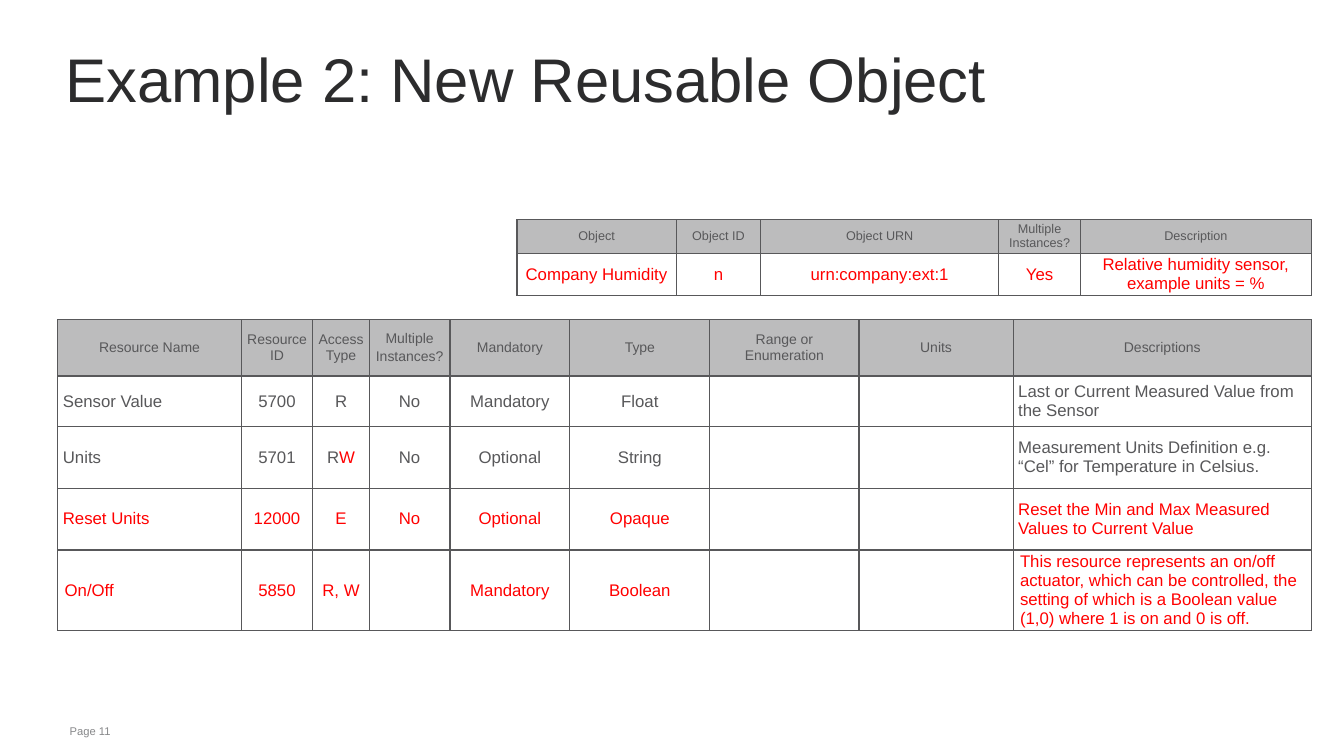
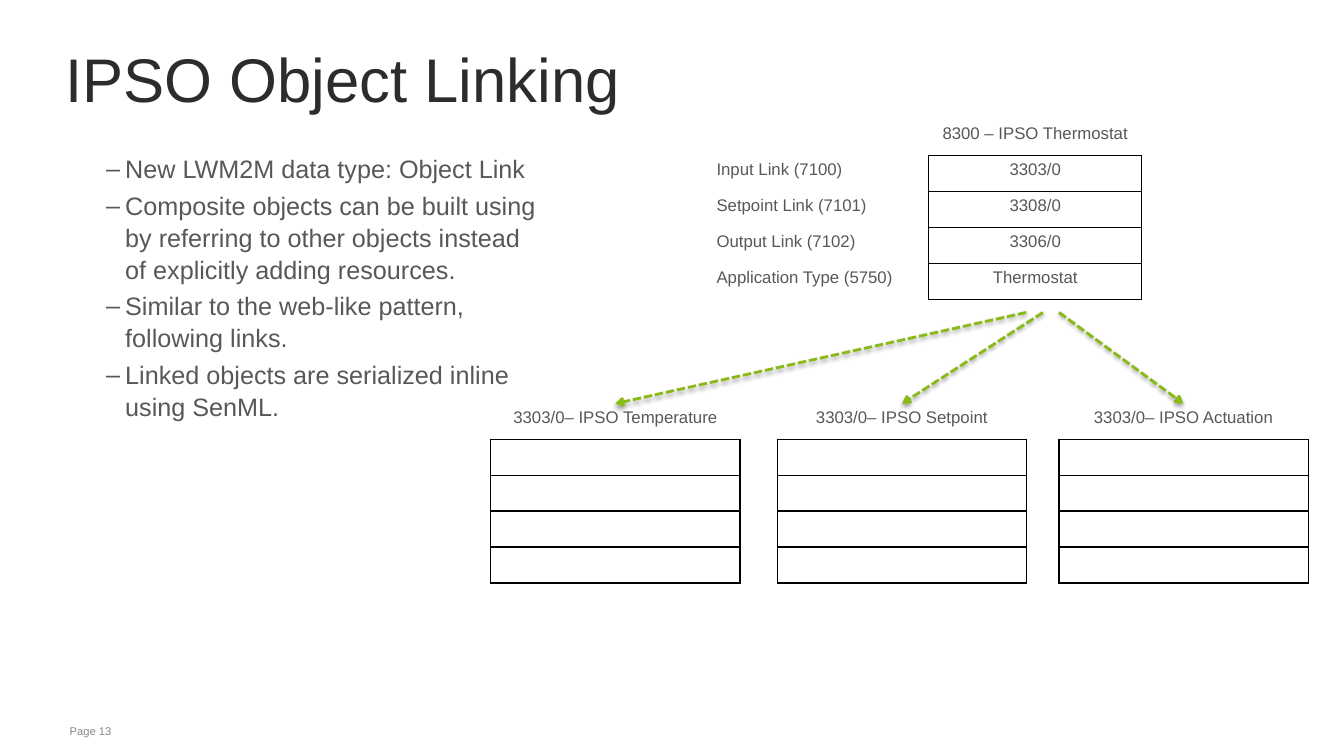
from dataclasses import dataclass
from typing import NamedTuple

from lxml import etree
from pptx import Presentation
from pptx.dml.color import RGBColor
from pptx.enum.dml import MSO_LINE
from pptx.enum.shapes import MSO_CONNECTOR
from pptx.enum.text import MSO_ANCHOR, PP_ALIGN
from pptx.oxml.ns import qn
from pptx.util import Pt

LEFT, CENTER = PP_ALIGN.LEFT, PP_ALIGN.CENTER
TOP, MIDDLE = MSO_ANCHOR.TOP, MSO_ANCHOR.MIDDLE
STRAIGHT = MSO_CONNECTOR.STRAIGHT
SHORT_DASH = MSO_LINE.SQUARE_DOT
TITLE_ONLY = 5
NO_TABLE_STYLE = "{2D5ABB26-0587-4C30-8999-92F81FD0307C}"
ALL_SIDES = "LRTB"


@dataclass(frozen=True)
class Theme:
    font: str = "Arial"
    title: str = "2C2C2D"
    text: str = "58585A"
    footer: str = "87888A"
    changed: str = "FF0000"
    header_fill: str = "BCBCBD"
    grid: str = "58585A"
    outline: str = "000000"
    arrow: str = "89BA17"
    title_size: float = 44
    body_size: float = 18
    cell_size: float = 12
    header_size: float = 10
    small_header_size: float = 9
    footer_size: float = 8


THEME = Theme()


class Box(NamedTuple):
    left: float
    top: float
    width: float
    height: float


class Run(NamedTuple):
    text: str
    color: str


Text = str | tuple[Run, ...]


@dataclass(frozen=True)
class CellStyle:
    size: float = THEME.cell_size
    color: str = THEME.text
    fill: str | None = None
    align: PP_ALIGN = CENTER
    anchor: MSO_ANCHOR = MIDDLE
    inset: tuple[float, float] = (3.6, 3.6)
    spacing: float = 1
    borders: str = ALL_SIDES
    border_color: str = THEME.grid


class Cell(NamedTuple):
    text: Text
    style: CellStyle


class Arrow(NamedTuple):
    start: tuple[float, float]
    end: tuple[float, float]


TITLE_BOX = Box(41, 18.7, 818, 85.7)
FOOTER_BOX = Box(41.8, 514, 777, 17.3)
BODY_BOX = Box(41.8, 108.7, 351.4, 396.7)

# Resource and object tables
TIGHT = (4.9, 0)
RESOURCE_WIDTHS = (131, 51.2, 40.3, 57.6, 85.7, 100, 106.5, 110.2, 213)
RESOURCE_HEIGHTS = (40.3, 33.6, 44.2, 44, 54.3)
RESOURCE_HEADER = CellStyle(size=THEME.header_size, fill=THEME.header_fill)
RESOURCE_HEADINGS = (
    "Resource Name", "Resource ID", "Access Type", "Multiple\nInstances?", "Mandatory",
    "Type", "Range or Enumeration", "Units", "Descriptions",
)
READ_WRITE = (Run("R", THEME.text), Run("W", THEME.changed))
RESOURCES: tuple[tuple[CellStyle, tuple[Text, ...]], ...] = (
    (CellStyle(), ("Sensor Value", "5700", "R", "No", "Mandatory", "Float", "", "",
                   "Last or Current Measured Value from the Sensor")),
    (CellStyle(), ("Units", "5701", READ_WRITE, "No", "Optional", "String", "", "",
                   "Measurement Units Definition e.g. “Cel” for Temperature in Celsius.")),
    (CellStyle(color=THEME.changed),
     ("Reset Units", "12000", "E", "No", "Optional", "Opaque", "", "",
      "Reset the Min and Max Measured Values to Current Value")),
    (CellStyle(color=THEME.changed, inset=TIGHT),
     ("On/Off", "5850", "R, W", "", "Mandatory", "Boolean", "", "",
      "This resource represents an on/off actuator, which can be controlled, the "
      "setting of which is a Boolean value (1,0) where 1 is on and 0 is off.")),
)
OBJECT_WIDTHS = (113.7, 60.4, 170, 58.4, 164.9)
OBJECT_HEIGHTS = (24, 30)
OBJECT_HEADER = CellStyle(size=THEME.small_header_size, fill=THEME.header_fill, inset=TIGHT)
OBJECT_HEADINGS = ("Object", "Object ID", "Object URN", "Multiple Instances?", "Description")
OBJECT_VALUES = ("Company Humidity", "n", "urn:company:ext:1", "Yes",
                 "Relative humidity sensor, example units = %")

# Linked objects
BULLETS = (
    "New LWM2M data type: Object Link",
    "Composite objects can be built using by referring to other objects instead "
    "of explicitly adding resources.",
    "Similar to the web-like pattern, following links.",
    "Linked objects are serialized inline using SenML.",
)
LINK_ROW = 25.7
LINK_ROWS = 5
LINK_CELL = CellStyle(anchor=TOP, inset=(7.2, 3.6), spacing=0, border_color=THEME.outline)
LINK_CAPTION = CellStyle(anchor=TOP, inset=(7.2, 3.6), spacing=0, borders="B",
                         border_color=THEME.outline)
LINK_LABEL = CellStyle(align=LEFT, anchor=TOP, inset=(7.2, 3.6), spacing=0, borders="R",
                       border_color=THEME.outline)
BLANK_CORNER = CellStyle(borders="")
THERMOSTAT_LINKS = (
    ("Input Link (7100)", "3303/0"),
    ("Setpoint Link (7101)", "3308/0"),
    ("Output Link (7102)", "3306/0"),
    ("Application Type (5750)", "Thermostat"),
)
LINKED_TOP, LINKED_WIDTH = 288, 178
LINKED_OBJECTS = (
    (350.6, "3303/0– IPSO Temperature"),
    (555.2, "3303/0– IPSO Setpoint"),
    (756.4, "3303/0– IPSO Actuation"),
)
ARROWS = (
    Arrow((733, 223.2), (439.5, 288.3)),
    Arrow((745, 223.2), (644.4, 288.3)),
    Arrow((756.5, 223.2), (845.3, 288.3)),
)


def add_child(parent, tag: str, **attributes: str):
    return etree.SubElement(parent, qn(tag), attributes)


def write_text(frame, text: Text, *, size: float, color: str, align: PP_ALIGN = LEFT,
               before: float = 0, after: float = 0, line_spacing: float | None = None) -> None:
    """Fill a text frame; a line break in the text starts a new paragraph."""
    lines = [(Run(line, color),) for line in text.split("\n")] if isinstance(text, str) else [text]
    for index, runs in enumerate(lines):
        paragraph = frame.paragraphs[0] if index == 0 else frame.add_paragraph()
        paragraph.alignment = align
        paragraph.space_before, paragraph.space_after = Pt(before), Pt(after)
        if line_spacing:
            paragraph.line_spacing = line_spacing
        for content, run_color in runs:
            if not content:
                add_child(paragraph._p, "a:endParaRPr", sz=str(int(size * 100)))
                continue
            run = paragraph.add_run()
            run.text = content
            run.font.name, run.font.size, run.font.bold = THEME.font, Pt(size), False
            run.font.color.rgb = RGBColor.from_string(run_color)


def set_frame(frame, anchor: MSO_ANCHOR, left: float, top: float) -> None:
    frame.word_wrap = True
    frame.vertical_anchor = anchor
    frame.margin_left, frame.margin_right = Pt(left), Pt(5.8)
    frame.margin_top = frame.margin_bottom = Pt(top)


def add_text_box(slide, box: Box, *, left: float, top: float):
    frame = slide.shapes.add_textbox(*map(Pt, box)).text_frame
    set_frame(frame, TOP, left, top)
    return frame


def add_titled_slide(presentation, title: str, page: int):
    slide = presentation.slides.add_slide(presentation.slide_layouts[TITLE_ONLY])
    shape = slide.shapes.title
    shape.left, shape.top, shape.width, shape.height = map(Pt, TITLE_BOX)
    set_frame(shape.text_frame, MIDDLE, 5.8, 0)
    write_text(shape.text_frame, title, size=THEME.title_size, color=THEME.title,
               line_spacing=0.75)
    footer = add_text_box(slide, FOOTER_BOX, left=7.9, top=3.6)
    write_text(footer, f"Page {page}", size=THEME.footer_size, color=THEME.footer)
    return slide


def format_cell(cell, content: Cell) -> None:
    text, style = content
    cell.vertical_anchor = style.anchor
    cell.margin_left = cell.margin_right = Pt(style.inset[0])
    cell.margin_top = cell.margin_bottom = Pt(style.inset[1])
    write_text(cell.text_frame, text, size=style.size, color=style.color, align=style.align,
               before=style.spacing, after=style.spacing)
    properties = cell._tc.get_or_add_tcPr()
    for side in style.borders:
        line = add_child(properties, f"a:ln{side}", w=str(Pt(1)))
        add_child(add_child(line, "a:solidFill"), "a:srgbClr", val=style.border_color)
    if style.fill:
        cell.fill.solid()
        cell.fill.fore_color.rgb = RGBColor.from_string(style.fill)
    else:
        cell.fill.background()


def add_grid(slide, left: float, top: float, widths: tuple[float, ...],
             heights: tuple[float, ...], rows: list[list[Cell]]) -> None:
    table = slide.shapes.add_table(len(heights), len(widths), Pt(left), Pt(top),
                                   Pt(sum(widths)), Pt(sum(heights))).table
    table.first_row = table.horz_banding = False
    table._tbl.tblPr.find(qn("a:tableStyleId")).text = NO_TABLE_STYLE
    for column, width in zip(table.columns, widths):
        column.width = Pt(width)
    for row, height, contents in zip(table.rows, heights, rows):
        row.height = Pt(height)
        for cell, content in zip(row.cells, contents):
            format_cell(cell, content)


def styled_row(texts: tuple[Text, ...], style: CellStyle) -> list[Cell]:
    return [Cell(text, style) for text in texts]


def resource_row(texts: tuple[Text, ...], style: CellStyle) -> list[Cell]:
    """Centre a resource's values, but start its name and description at the left."""
    edge = CellStyle(color=style.color, inset=style.inset, align=LEFT)
    return [Cell(texts[0], edge), *styled_row(texts[1:-1], style), Cell(texts[-1], edge)]


def add_bullets(slide) -> None:
    frame = add_text_box(slide, BODY_BOX, left=5.8, top=0)
    write_text(frame, "\n".join(BULLETS), size=THEME.body_size, color=THEME.text,
               before=3.6, line_spacing=1.05)
    for paragraph in frame.paragraphs:
        properties = paragraph._p.get_or_add_pPr()
        properties.set("marL", str(Pt(41.8)))
        properties.set("indent", str(Pt(-13.7)))
        add_child(add_child(properties, "a:buClr"), "a:srgbClr", val=THEME.text)
        add_child(properties, "a:buFont", typeface=THEME.font)
        add_child(properties, "a:buChar", char="–")


def add_arrow(slide, arrow: Arrow) -> None:
    connector = slide.shapes.add_connector(STRAIGHT, *map(Pt, arrow.start + arrow.end))
    connector.line.color.rgb = RGBColor.from_string(THEME.arrow)
    connector.line.width = Pt(2)
    connector.line.dash_style = SHORT_DASH
    properties = connector._element.spPr
    add_child(properties.find(qn("a:ln")), "a:tailEnd", type="arrow")
    shadow = add_child(add_child(properties, "a:effectLst"), "a:outerShdw",
                       blurRad=str(Pt(3.1)), dist=str(Pt(1.6)), dir="5400000", rotWithShape="0")
    add_child(add_child(shadow, "a:srgbClr", val=THEME.outline), "a:alpha", val="38000")


def build_reusable_object(presentation) -> None:
    slide = add_titled_slide(presentation, "Example 2: New Reusable Object", 11)
    rows = [styled_row(RESOURCE_HEADINGS, RESOURCE_HEADER)]
    rows += [resource_row(texts, style) for style, texts in RESOURCES]
    add_grid(slide, 41.3, 228.3, RESOURCE_WIDTHS, RESOURCE_HEIGHTS, rows)
    values = CellStyle(color=THEME.changed, inset=TIGHT)
    add_grid(slide, 369.3, 156.9, OBJECT_WIDTHS, OBJECT_HEIGHTS,
             [styled_row(OBJECT_HEADINGS, OBJECT_HEADER), styled_row(OBJECT_VALUES, values)])


def build_object_linking(presentation) -> None:
    slide = add_titled_slide(presentation, "IPSO Object Linking", 13)
    add_bullets(slide)
    heights = (LINK_ROW,) * LINK_ROWS
    # Thermostat and its links
    rows = [[Cell("", BLANK_CORNER), Cell("8300 – IPSO Thermostat", LINK_CAPTION)]]
    rows += [[Cell(label, LINK_LABEL), Cell(link, LINK_CELL)] for label, link in THERMOSTAT_LINKS]
    add_grid(slide, 504.6, 85.4, (158.9, 152), heights, rows)
    # Objects the links lead to
    for left, caption in LINKED_OBJECTS:
        rows = [[Cell(caption, LINK_CAPTION)]] + [[Cell("", LINK_CELL)]] * (LINK_ROWS - 1)
        add_grid(slide, left, LINKED_TOP, (LINKED_WIDTH,), heights, rows)
    for arrow in ARROWS:
        add_arrow(slide, arrow)


def main() -> None:
    presentation = Presentation()
    presentation.slide_width, presentation.slide_height = Pt(960), Pt(540)
    build_reusable_object(presentation)
    build_object_linking(presentation)
    presentation.save("out.pptx")


if __name__ == "__main__":
    main()
